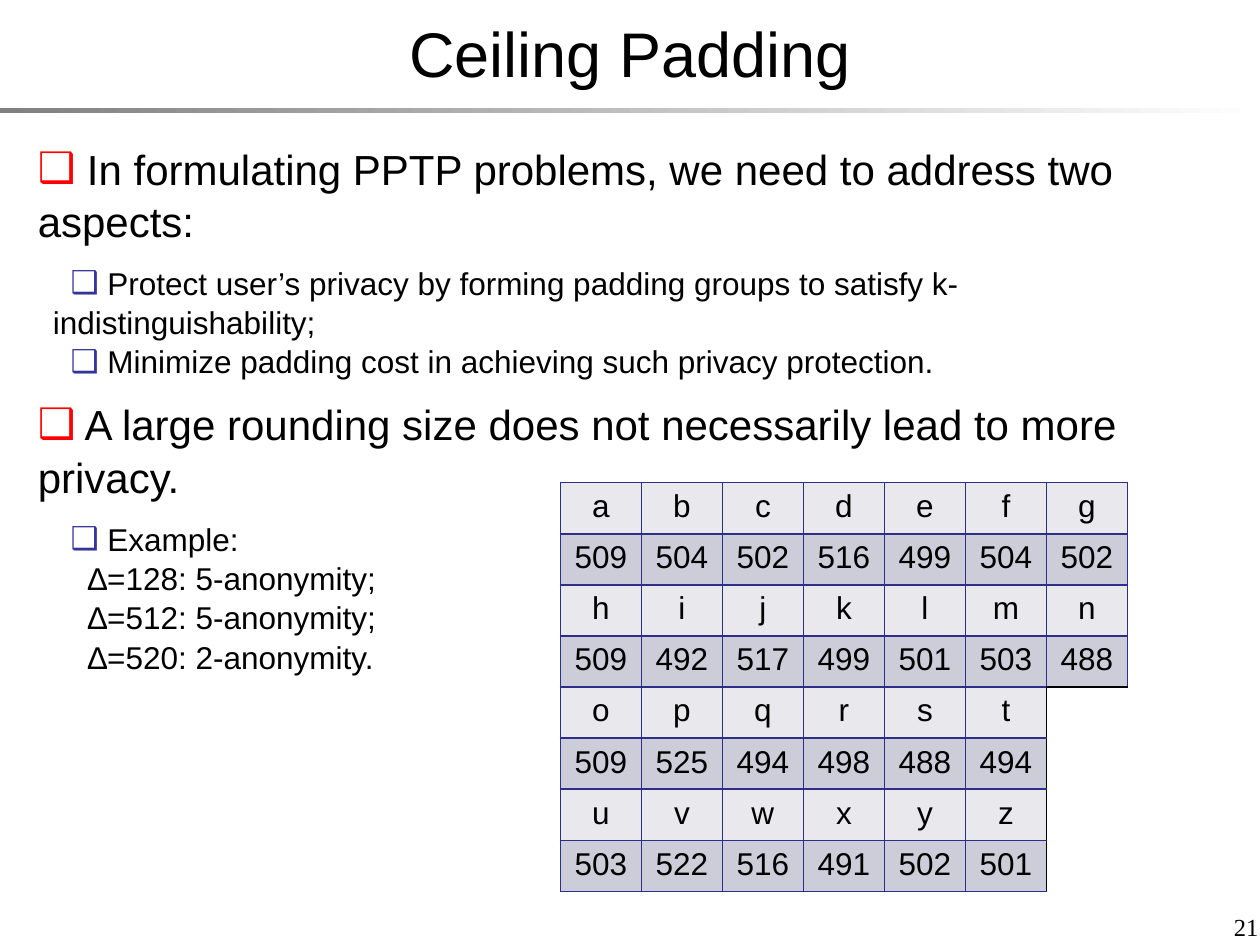
from dataclasses import dataclass

from lxml import etree
from pptx import Presentation
from pptx.dml.color import RGBColor
from pptx.enum.shapes import MSO_SHAPE
from pptx.enum.text import MSO_ANCHOR, MSO_AUTO_SIZE, PP_ALIGN
from pptx.oxml.ns import qn
from pptx.util import Pt

RECT = MSO_SHAPE.RECTANGLE
MID = MSO_ANCHOR.MIDDLE
TOP = MSO_ANCHOR.TOP
FIXED = MSO_AUTO_SIZE.NONE
LEFT, CENTER, RIGHT = PP_ALIGN.LEFT, PP_ALIGN.CENTER, PP_ALIGN.RIGHT


@dataclass(frozen=True)
class Theme:
    sans: str = "Arial"
    serif: str = "Times New Roman"
    ink: str = "000000"
    red: str = "FF0000"
    blue: str = "333399"
    edge: str = "2D2D8A"
    light: str = "E8E8ED"
    dark: str = "CDCDDA"
    gray: str = "808080"
    white: str = "FFFFFF"
    title: int = 36
    head: int = 24
    text: int = 18
    page: int = 14


THEME = Theme()

HEAD = dict(size=THEME.head, left=0, indent=0, mark=THEME.red)
ITEM = dict(size=THEME.text, left=8.64, indent=10.08, mark=THEME.blue)
CASE = dict(size=THEME.text, left=28.64, indent=0, mark=None)
GAP = 9.5

POINTS = [
    (" In formulating PPTP problems, we need to address two aspects:", HEAD, 0),
    (" Protect user’s privacy by forming padding groups to satisfy "
     "k-indistinguishability;", ITEM, GAP),
    (" Minimize padding cost in achieving such privacy protection.", ITEM, 0),
    (" A large rounding size does not necessarily lead to more privacy.", HEAD, GAP),
    (" Example:", ITEM, GAP),
    ("∆=128: 5-anonymity;", CASE, 0),
    ("∆=512: 5-anonymity;", CASE, 0),
    ("∆=520: 2-anonymity.", CASE, 0),
]

ROWS = [
    "a b c d e f g",
    "509 504 502 516 499 504 502",
    "h i j k l m n",
    "509 492 517 499 501 503 488",
    "o p q r s t",
    "509 525 494 498 488 494",
    "u v w x y z",
    "503 522 516 491 502 501",
]


def apply(item, values):
    for key, value in values.items():
        setattr(item, key, value)


def place(shape, left, top, width, height):
    apply(shape, dict(left=Pt(left), top=Pt(top), width=Pt(width), height=Pt(height)))


def write(para, text, size, align=LEFT, face=THEME.sans):
    run = para.add_run()
    run.text = text
    apply(run.font, dict(size=Pt(size), name=face, bold=False))
    run.font.color.rgb = RGBColor.from_string(THEME.ink)
    para.alignment = align


def mark(para, left, indent, color):
    props = para._p.get_or_add_pPr()
    props.set("marL", str(int(Pt(left))))
    props.set("indent", str(int(Pt(indent))))
    if color is None:
        etree.SubElement(props, qn("a:buNone"))
        return
    tint = etree.SubElement(props, qn("a:buClr"))
    etree.SubElement(tint, qn("a:srgbClr"), val=color)
    etree.SubElement(props, qn("a:buFont"), typeface=THEME.sans)
    etree.SubElement(props, qn("a:buChar"), char="❑")


def add_title(slide):
    title = slide.shapes.title
    place(title, 0, 0, 720, 60)
    apply(title.text_frame, dict(vertical_anchor=MID, auto_size=FIXED, word_wrap=True))
    write(title.text_frame.paragraphs[0], "Ceiling Padding", THEME.title, CENTER)


def add_rule(slide):
    rule = slide.shapes.add_shape(RECT, 0, Pt(62), Pt(720), Pt(2.5))
    rule.shadow.inherit = False
    rule.line.fill.background()
    rule.fill.gradient()
    rule.fill.gradient_angle = 0
    for stop, color in zip(rule.fill.gradient_stops, (THEME.gray, THEME.white)):
        stop.color.rgb = RGBColor.from_string(color)


def add_points(slide):
    body = slide.placeholders[1]
    place(body, 14.4, 77, 686, 284)
    frame = body.text_frame
    apply(frame, dict(vertical_anchor=TOP, auto_size=FIXED, word_wrap=True))
    for num, (text, form, gap) in enumerate(POINTS):
        para = frame.add_paragraph() if num else frame.paragraphs[0]
        para.level = 0 if form is HEAD else 1
        mark(para, form["left"], form["indent"], form["mark"])
        apply(para, dict(space_before=Pt(gap), space_after=Pt(0), line_spacing=1.04))
        write(para, text, form["size"])


def add_edges(cell, colors):
    props = cell._tc.get_or_add_tcPr()
    for side, color in zip("LRTB", colors):
        line = etree.SubElement(props, qn(f"a:ln{side}"), w=str(int(Pt(1))))
        if color is None:
            etree.SubElement(line, qn("a:noFill"))
        else:
            fill = etree.SubElement(line, qn("a:solidFill"))
            etree.SubElement(fill, qn("a:srgbClr"), val=color)


def add_grid(slide):
    rows = [row.split() for row in ROWS]
    count = len(rows[0])
    full = sum(len(row) == count for row in rows)
    shape = slide.shapes.add_table(
        len(rows), count, Pt(320.2), Pt(275.8), Pt(324.1), Pt(233.6))
    grid = shape.table
    apply(grid, dict(first_row=False, horz_banding=False))
    for col in grid.columns:
        col.width = Pt(46.3)
    for y, row in enumerate(rows):
        grid.rows[y].height = Pt(29.2)
        for x in range(count):
            cell = grid.cell(y, x)
            if x >= len(row):
                add_edges(cell, (THEME.ink, None, THEME.ink if y == full else None, None))
                cell.fill.background()
                continue
            right = THEME.ink if x == len(row) - 1 < count - 1 else THEME.edge
            base = THEME.ink if y == full - 1 and x == count - 1 else THEME.edge
            add_edges(cell, (THEME.edge, right, THEME.edge, base))
            cell.fill.solid()
            cell.fill.fore_color.rgb = RGBColor.from_string(
                THEME.dark if y % 2 else THEME.light)
            write(cell.text_frame.paragraphs[0], row[x], THEME.text, CENTER)


def add_page(slide):
    box = slide.shapes.add_textbox(Pt(551), Pt(517), Pt(168), Pt(25))
    apply(box.text_frame, dict(
        word_wrap=True, vertical_anchor=MID, margin_right=Pt(7.2)))
    box.text_frame.margin_right = Pt(0)
    write(box.text_frame.paragraphs[0], "21", THEME.page, RIGHT, THEME.serif)


def main():
    deck = Presentation()
    apply(deck, dict(slide_width=Pt(720), slide_height=Pt(540)))
    slide = deck.slides.add_slide(deck.slide_layouts[1])
    add_rule(slide)
    add_page(slide)
    add_title(slide)
    add_grid(slide)
    add_points(slide)
    deck.save("out.pptx")


if __name__ == "__main__":
    main()
